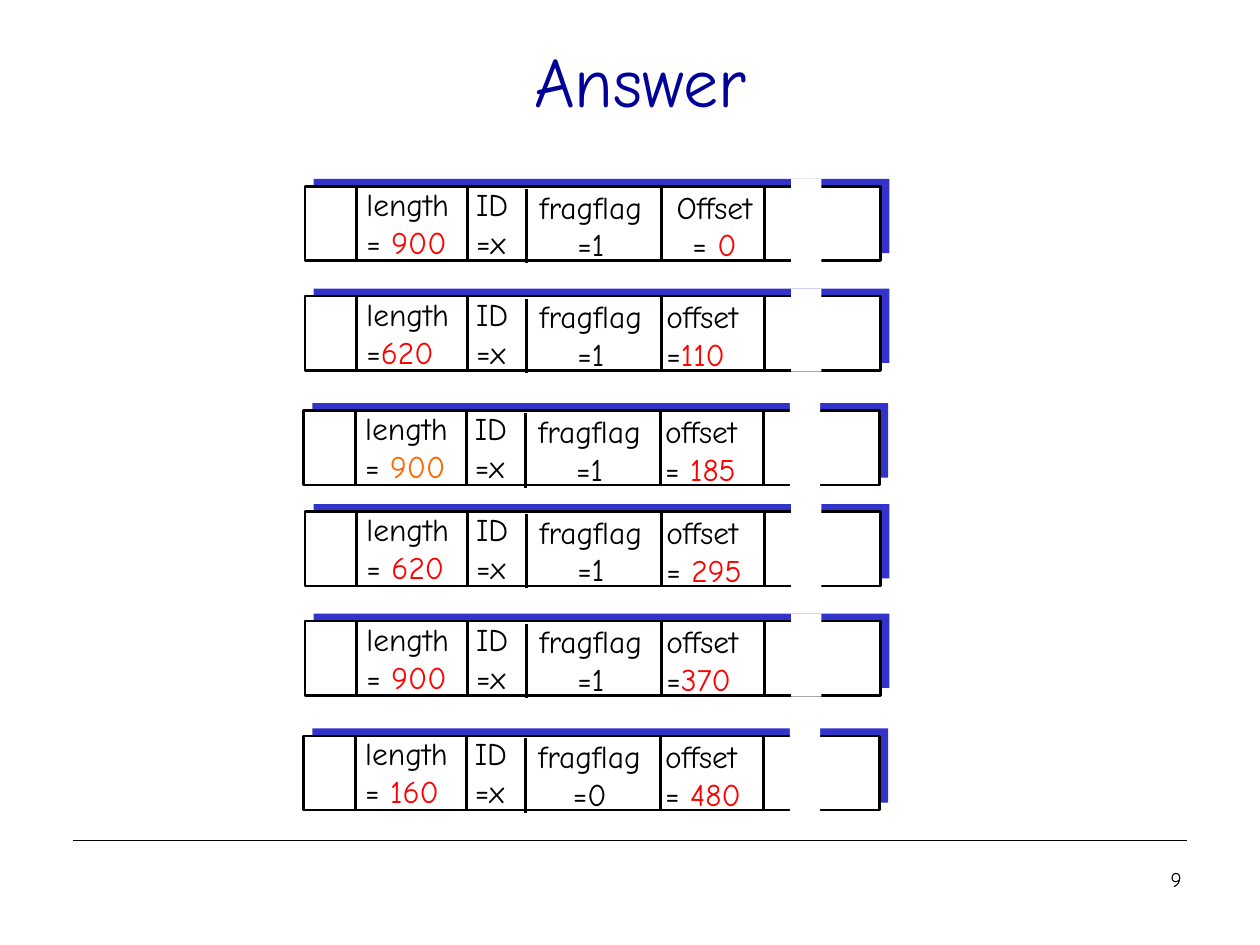
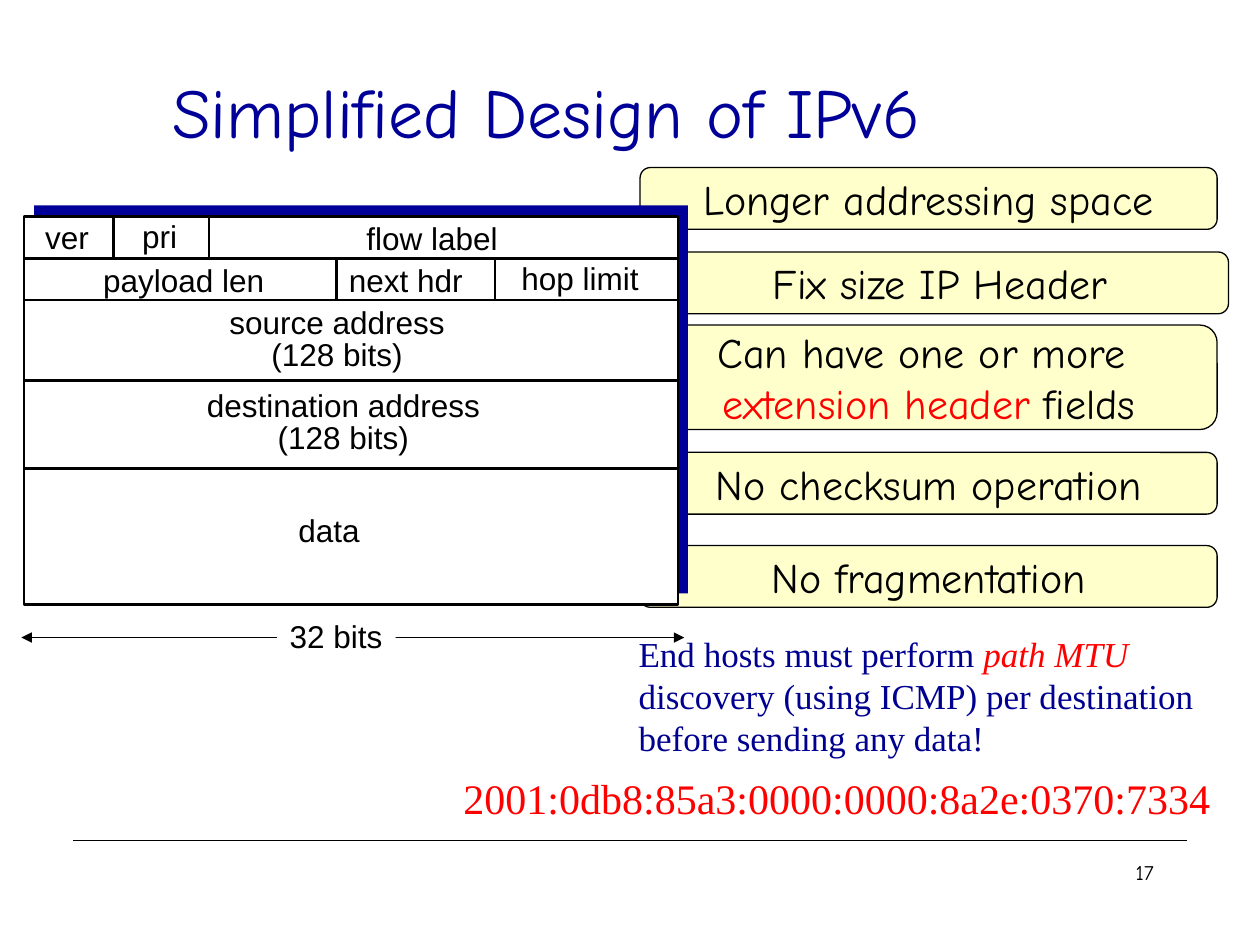
from lxml import etree
from pptx import Presentation, util as u
from pptx.dml.color import RGBColor
from pptx.enum import shapes as kinds, text
from pptx.oxml.ns import qn

# Shared look
BLACK, WHITE, RED, ORANGE = "000000", "FFFFFF", "FF0000", "FF6600"
NAVY, INK, BLUE, CREAM = "000099", "000090", "3333CC", "FFFFCC"
HAND, SANS, SERIF = "Comic Neue", "Arial", "Times New Roman"
LEFT, CENTER = text.PP_ALIGN.LEFT, text.PP_ALIGN.CENTER
TOP, MIDDLE = text.MSO_ANCHOR.TOP, text.MSO_ANCHOR.MIDDLE
RECT = kinds.MSO_SHAPE.RECTANGLE
ROUNDED = kinds.MSO_SHAPE.ROUNDED_RECTANGLE

# The page grid: 10 columns by 7.5 rows
WIDTH, HEIGHT = u.Inches(10), u.Inches(7.5)
COLUMN, ROW = WIDTH / 10, HEIGHT / 7.5


def color(hex_string):
    return RGBColor.from_string(hex_string)


def place(left, top, width, height):
    return [round(n * unit) for n, unit in
            ((left, COLUMN), (top, ROW), (width, COLUMN), (height, ROW))]


def write(frame, lines, size, font=HAND, ink=BLACK, align=LEFT,
          anchor=TOP, wrap=False, spacing=None):
    """Each line is a list of runs: a string, or (string, colour, italic)."""
    frame.word_wrap = wrap
    frame.vertical_anchor = anchor
    for number, line in enumerate(lines):
        paragraph = frame.add_paragraph() if number else frame.paragraphs[0]
        paragraph.alignment = align
        paragraph.line_spacing = spacing
        paragraph.font.size = u.Pt(size)
        paragraph.font.name = font
        paragraph.font.color.rgb = color(ink)
        for part in line:
            words, tint, italic = (part, None, None) if isinstance(part, str) else part
            run = paragraph.add_run()
            run.text = words
            if tint:
                run.font.color.rgb = color(tint)
                run.font.italic = italic


def label(canvas, box, lines, size=18, **style):
    write(canvas.add_textbox(*place(*box)).text_frame, lines, size, **style)


def block(canvas, box, fill, line=None, kind=RECT):
    shape = canvas.add_shape(kind, *place(*box))
    shape.shadow.inherit = False
    shape.fill.solid()
    shape.fill.fore_color.rgb = color(fill)
    if line:
        shape.line.color.rgb = color(BLACK)
        shape.line.width = u.Pt(line)
    else:
        shape.line.fill.background()
    return shape


def rule(canvas, x1, y1, x2, y2, width=1.5, arrows=False):
    line = canvas.add_connector(kinds.MSO_CONNECTOR.STRAIGHT,
                                *place(x1, y1, x2, y2))
    line.line.color.rgb = color(BLACK)
    line.line.width = u.Pt(width)
    properties = line._element.spPr
    etree.SubElement(properties, qn("a:effectLst"))
    if arrows:
        for end in ("a:headEnd", "a:tailEnd"):
            etree.SubElement(properties.find(qn("a:ln")), qn(end), type="triangle")


def start_slide(deck):
    canvas = deck.slides.add_slide(deck.slide_layouts[6]).shapes
    rule(canvas, 0.58, 6.67, 9.42, 6.67, 0.75)
    return canvas


def title(canvas, box, words):
    label(canvas, box, [[words]], 40, ink=NAVY, align=CENTER,
          anchor=MIDDLE, wrap=True)


def page_number(canvas, left, top, number):
    label(canvas, (left, top, 3.25, 0.5), [[number]], 12, align=CENTER, wrap=True)


# One fragment header, measured from the corner of its frame
def fragment(canvas, left, top, length, flag, offset, first=False):
    packet = canvas.add_group_shape().shapes
    block(packet, (left + 0.07, top - 0.06, 4.57, 0.59), BLUE)
    block(packet, (left, top, 4.57, 0.59), WHITE, 1.5)
    label(packet, (left + 1.26, top - 0.06, 0.52, 0.7), [["ID"], ["=x"]])
    if first:
        label(packet, (left + 2.73, top - 0.04, 1.04, 0.71),
              [["Offset"], offset], align=CENTER)
    else:
        label(packet, (left + 2.77, top - 0.04, 0.97, 0.71), [["offset"], offset])
    label(packet, (left + 1.69, top - 0.04, 1.16, 0.7),
          [["fragflag"], ["=" + flag]], align=CENTER)
    label(packet, (left + 0.39, top - 0.06, 0.94, 0.71), [["length"], length])
    for x, drop in ((0.41, 0), (1.29, 0), (1.76, 0.02), (2.83, 0), (3.65, 0)):
        rule(packet, left + x, top + drop, left + x, top + drop + 0.59)
    block(packet, (left + 3.86, top - 0.06, 0.24, 0.66), WHITE)  # break in the data


def answer_slide(deck):
    canvas = start_slide(deck)
    title(canvas, (0.83, 0.01, 8.5, 1.25), "Answer")
    fragments = (
        (2.42, 1.48, "= ", "900", RED, "1", "= ", "0"),
        (2.42, 2.35, "=", "620", RED, "1", "=", "110"),
        (2.41, 3.26, "= ", "900", ORANGE, "1", "= ", "185"),
        (2.42, 4.06, "= ", "620", RED, "1", "= ", "295"),
        (2.42, 4.93, "= ", "900", RED, "1", "=", "370"),
        (2.41, 5.84, "= ", "160", RED, "0", "= ", "480"),
    )
    for number, (left, top, sign, length, tint, flag, equals, offset) in enumerate(fragments):
        fragment(canvas, left, top, [sign, (length, tint, None)], flag,
                 [equals, (offset, RED, None)], first=number == 0)
    page_number(canvas, 7.71, 6.83, "9")


def benefits(canvas):
    for left, top, height, lines in (
        (5.08, 3.59, 0.49, [["No checksum operation"]]),
        (5.08, 4.33, 0.49, [["No fragmentation"]]),
        (5.08, 1.33, 0.49, [["Longer addressing space"]]),
        (5.17, 2.0, 0.49, [["Fix size IP Header"]]),
        (5.08, 2.58, 0.83, [["Can have one or more "],
                            [("extension header ", RED, None), "fields"]]),
    ):
        callout = block(canvas, (left, top, 4.58, height), CREAM, 0.75, ROUNDED)
        write(callout.text_frame, lines, 24, align=CENTER, anchor=MIDDLE)


def ipv6_header(canvas):
    left, right, top, height = 0.19, 5.38, 1.72, 3.08
    block(canvas, (left + 0.08, top - 0.09, right - left, height), NAVY)
    block(canvas, (left, top, right - left, height), WHITE, 1.5)
    for y in (2.05, 2.38, 3.02, 3.72):
        rule(canvas, left, y, right, y)
    for x, start in ((0.9, top), (1.66, top), (2.67, 2.05), (3.93, 2.05)):
        rule(canvas, x, start, x, start + 0.33)
    for x, y, width, field in (
        (0.26, 1.68, 0.55, "ver"), (1.03, 1.67, 0.48, "pri"),
        (2.81, 1.69, 1.24, "flow label"), (0.72, 2.02, 1.48, "payload len"),
        (2.67, 2.02, 1.1, "next hdr"), (4.04, 2.01, 1.13, "hop limit"),
        (2.27, 4.01, 0.69, "data"),
    ):
        label(canvas, (x, y, width, 0.4), [[field]], font=SANS)
    for x, y, width, field in ((1.72, 2.4, 1.91, "source address"),
                               (1.54, 3.06, 2.37, "destination address")):
        label(canvas, (x, y, width, 0.61), [[field], ["(128 bits)"]],
              font=SANS, align=CENTER, spacing=0.85)
    # Width of the header
    rule(canvas, 0.17, 5.06, 5.43, 5.06, 0.75, arrows=True)
    span = block(canvas, (2.2, 4.85, 0.94, 0.4), WHITE)
    write(span.text_frame, [["32 bits"]], 18, font=SANS)


def ipv6_slide(deck):
    canvas = start_slide(deck)
    benefits(canvas)
    title(canvas, (-0.25, 0.25, 9.17, 1.25), "Simplified Design of IPv6")
    label(canvas, (3.58, 6.08, 6.2, 0.5),
          [["2001:0db8:85a3:0000:0000:8a2e:0370:7334"]], 24,
          font=SERIF, ink=RED, anchor=MIDDLE)
    label(canvas, (4.97, 4.97, 4.64, 1.11),
          [["End hosts must perform ", ("path MTU", RED, True)],
           ["discovery (using ICMP) per destination"],
           ["before sending any data!"]], 20, font=SERIF, ink=INK)
    ipv6_header(canvas)
    page_number(canvas, 7.46, 6.77, "17")


def main():
    deck = Presentation()
    deck.slide_width, deck.slide_height = WIDTH, HEIGHT
    answer_slide(deck)
    ipv6_slide(deck)
    deck.save("out.pptx")


if __name__ == "__main__":
    main()
